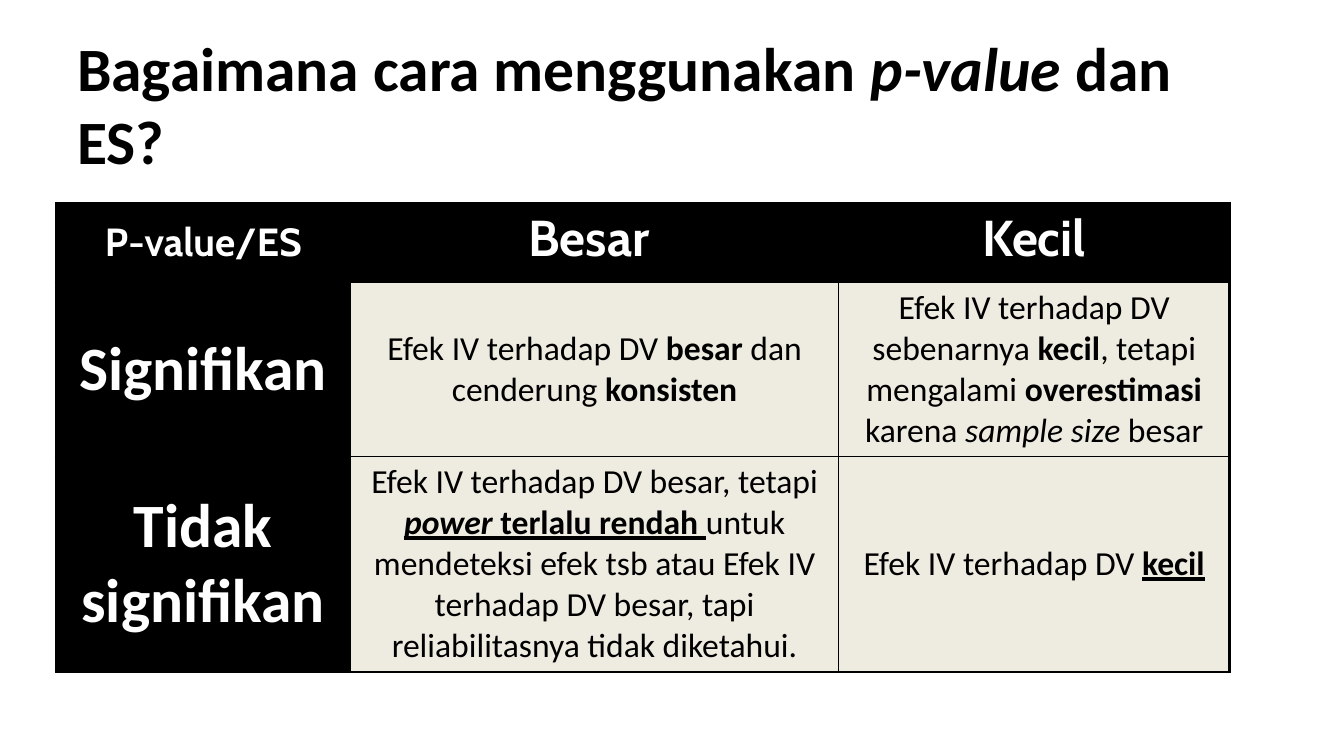
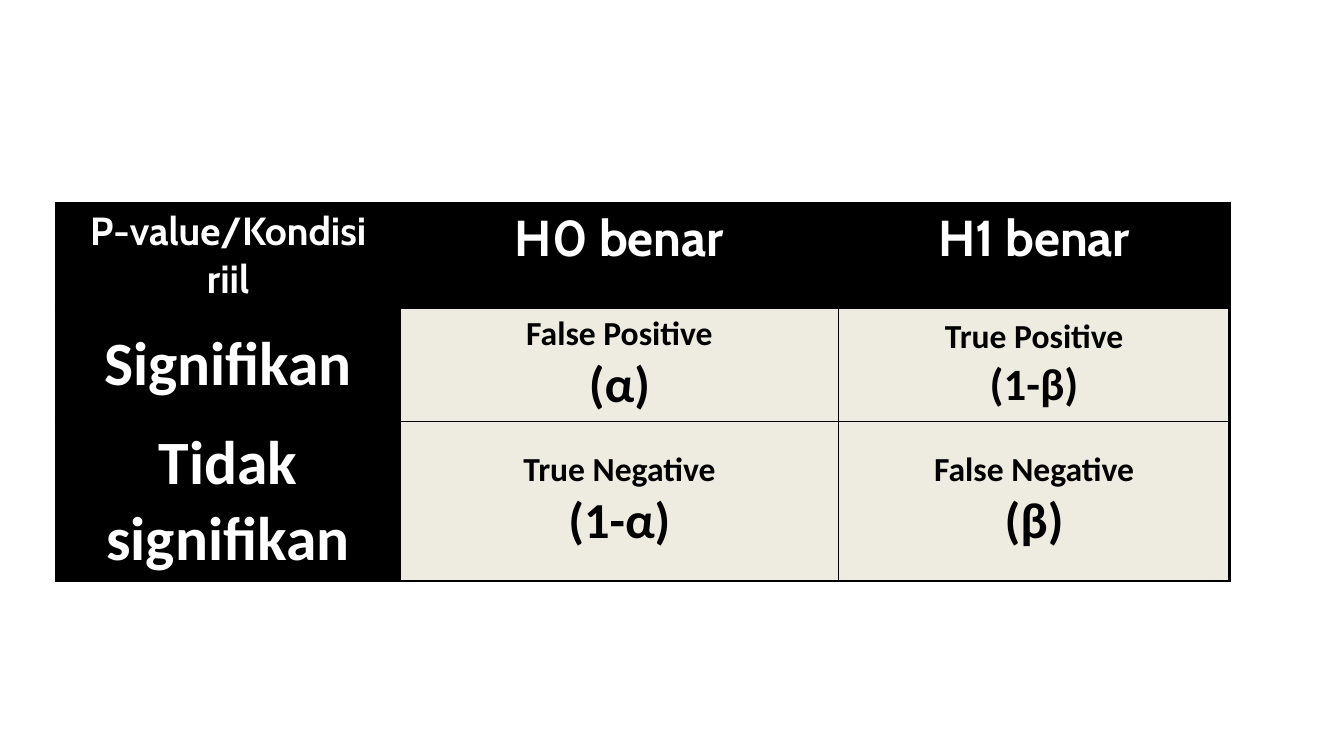
"""Two slides with decision tables on p-values, effect size and error types."""
import dataclasses

import lxml.etree
import pptx
import pptx.dml.color
import pptx.enum.text
import pptx.oxml.ns
import pptx.util

Pt = pptx.util.Pt
RGBColor = pptx.dml.color.RGBColor
PP_ALIGN = pptx.enum.text.PP_ALIGN
MSO_ANCHOR = pptx.enum.text.MSO_ANCHOR


@dataclasses.dataclass(frozen=True)
class Theme:
    dark: str = "000000"
    light: str = "FFFFFF"
    cell: str = "EEECE1"
    text_font: str = "Calibri"
    header_font: str = "Cabin"
    large: int = 44
    header: int = 36
    medium: int = 32
    corner: int = 28
    body: int = 24
    outer_line: float = 2.25
    inner_line: float = 1


theme = Theme()


def write_line(paragraph, runs, size, color, font_name):
    """Fill a paragraph with (text, styles) runs; styles use the letters b, i and u."""
    paragraph.font.size = Pt(size)
    paragraph.font.name = font_name
    paragraph.font.color.rgb = RGBColor.from_string(color)
    styles_agree = len({styles for _, styles in runs}) == 1
    for text, styles in runs:
        run = paragraph.add_run()
        run.text = text
        font = paragraph.font if styles_agree else run.font
        font.bold = "b" in styles
        font.italic = "i" in styles
        font.underline = "u" in styles


def set_border(cell, side, width):
    """Draw one side (L, R, T or B) of a table cell."""
    properties = cell._tc.get_or_add_tcPr()
    name = pptx.oxml.ns.qn
    line = lxml.etree.SubElement(properties, name(f"a:ln{side}"), w=str(Pt(width)))
    fill = lxml.etree.SubElement(line, name("a:solidFill"))
    lxml.etree.SubElement(fill, name("a:srgbClr"), val=theme.dark)


row_labels = ["Signifikan", "Tidak signifikan"]
slides = [
    {
        "title": [("Bagaimana cara menggunakan ", "b"), ("p-value ", "bi"), ("dan ES?", "b")],
        "columns": [210.5, 348.5, 279.5],
        "rows": [57, 124, 154],
        "headers": ["P-value/ES", "Besar ", "Kecil"],
        "body": [
            [
                [(theme.body, [("Efek IV terhadap DV ", ""), ("besar", "b"),
                               (" dan cenderung ", ""), ("konsisten", "b")])],
                [(theme.body, [("Efek IV terhadap DV sebenarnya ", ""), ("kecil", "b"),
                               (", tetapi mengalami ", ""), ("overestimasi ", "b"),
                               ("karena ", ""), ("sample size ", "i"), ("besar", "")])],
            ],
            [
                [(theme.body, [("Efek IV terhadap DV besar, tetapi ", ""), ("power", "biu"),
                               (" terlalu rendah ", "bu"),
                               ("untuk mendeteksi efek tsb atau Efek IV terhadap DV besar, "
                                "tapi reliabilitasnya tidak diketahui.", "")])],
                [(theme.body, [("Efek IV terhadap DV ", ""), ("kecil", "bu")])],
            ],
        ],
    },
    {
        "title": None,
        "columns": [246, 313, 279.5],
        "rows": [75, 81, 114],
        "headers": ["P-value/Kondisi riil", "H0 benar", "H1 benar"],
        "body": [
            [
                [(theme.body, [("False Positive", "b")]), (theme.header, [("(α)", "b")])],
                [(theme.body, [("True Positive", "b")]), (theme.medium, [("(1-β)", "b")])],
            ],
            [
                [(theme.body, [("True Negative", "b")]), (theme.header, [("(1-α)", "b")])],
                [(theme.body, [("False Negative", "b")]), (theme.header, [("(β)", "b")])],
            ],
        ],
    },
]

presentation = pptx.Presentation()
presentation.slide_width = Pt(960)
presentation.slide_height = Pt(540)

for content in slides:
    slide = presentation.slides.add_slide(presentation.slide_layouts[6])

    if content["title"]:
        title = slide.shapes.add_textbox(Pt(48), Pt(36), Pt(864), Pt(75.6))
        title.text_frame.word_wrap = True
        title.text_frame.vertical_anchor = MSO_ANCHOR.MIDDLE
        write_line(title.text_frame.paragraphs[0], content["title"],
                   theme.large, theme.dark, theme.text_font)

    columns, rows = content["columns"], content["rows"]
    table = slide.shapes.add_table(len(rows), len(columns), Pt(40), Pt(145),
                                   Pt(sum(columns)), Pt(sum(rows))).table
    table.first_row = False
    table.horz_banding = False
    for column, width in zip(table.columns, columns):
        column.width = Pt(width)
    for row, height in zip(table.rows, rows):
        row.height = Pt(height)

    for row_index in range(len(rows)):
        for column_index in range(len(columns)):
            cell = table.cell(row_index, column_index)
            is_header = row_index == 0
            is_label = column_index == 0
            if is_header:
                size = theme.corner if is_label else theme.header
                lines = [(size, [(content["headers"][column_index], "b")])]
            elif is_label:
                lines = [(theme.large, [(row_labels[row_index - 1], "b")])]
            else:
                lines = content["body"][row_index - 1][column_index - 1]

            edges = {
                "L": is_label,
                "R": column_index == len(columns) - 1,
                "T": is_header,
                "B": row_index == len(rows) - 1,
            }
            for side, is_outer in edges.items():
                set_border(cell, side, theme.outer_line if is_outer else theme.inner_line)

            is_dark = is_header or is_label
            cell.fill.solid()
            cell.fill.fore_color.rgb = RGBColor.from_string(theme.dark if is_dark else theme.cell)
            top_anchored = is_header and not is_label
            cell.vertical_anchor = MSO_ANCHOR.TOP if top_anchored else MSO_ANCHOR.MIDDLE
            for line_index, (size, runs) in enumerate(lines):
                frame = cell.text_frame
                paragraph = frame.add_paragraph() if line_index else frame.paragraphs[0]
                paragraph.alignment = PP_ALIGN.CENTER
                write_line(paragraph, runs, size, theme.light if is_dark else theme.dark,
                           theme.header_font if is_header else theme.text_font)

presentation.save("out.pptx")
